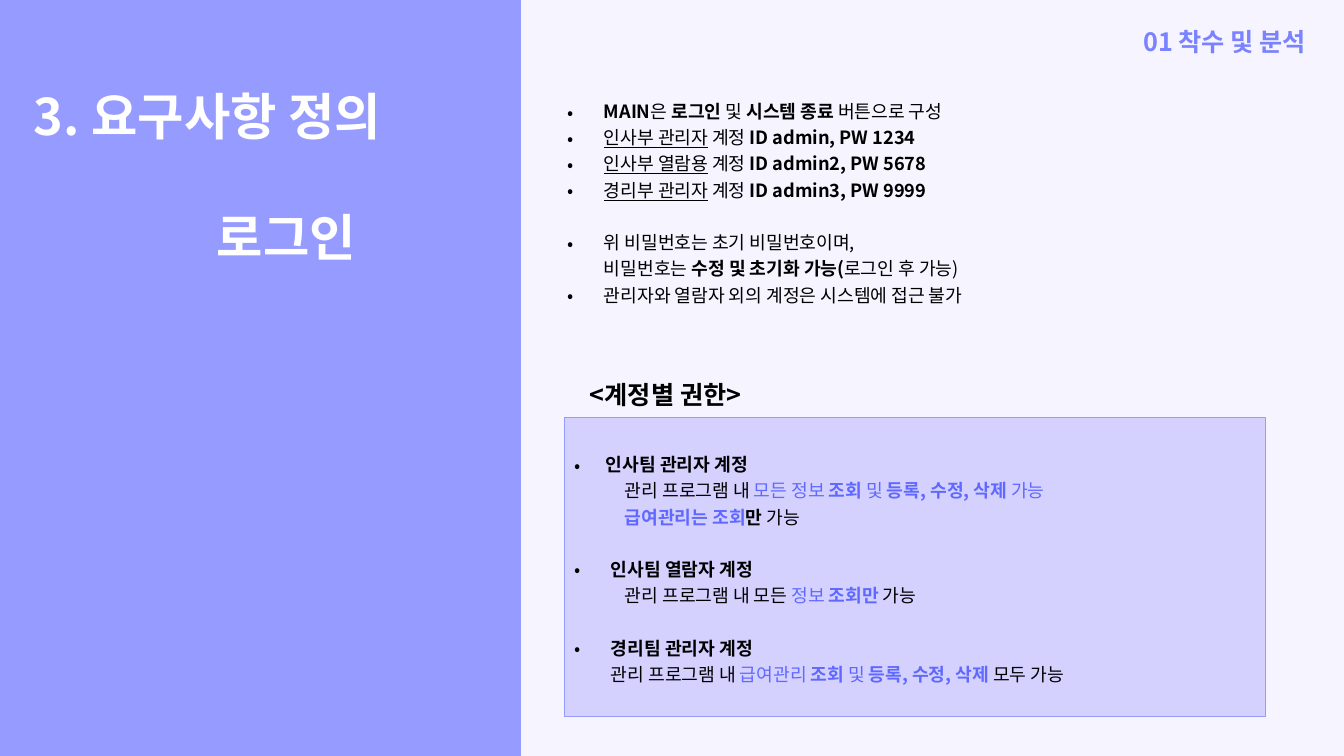
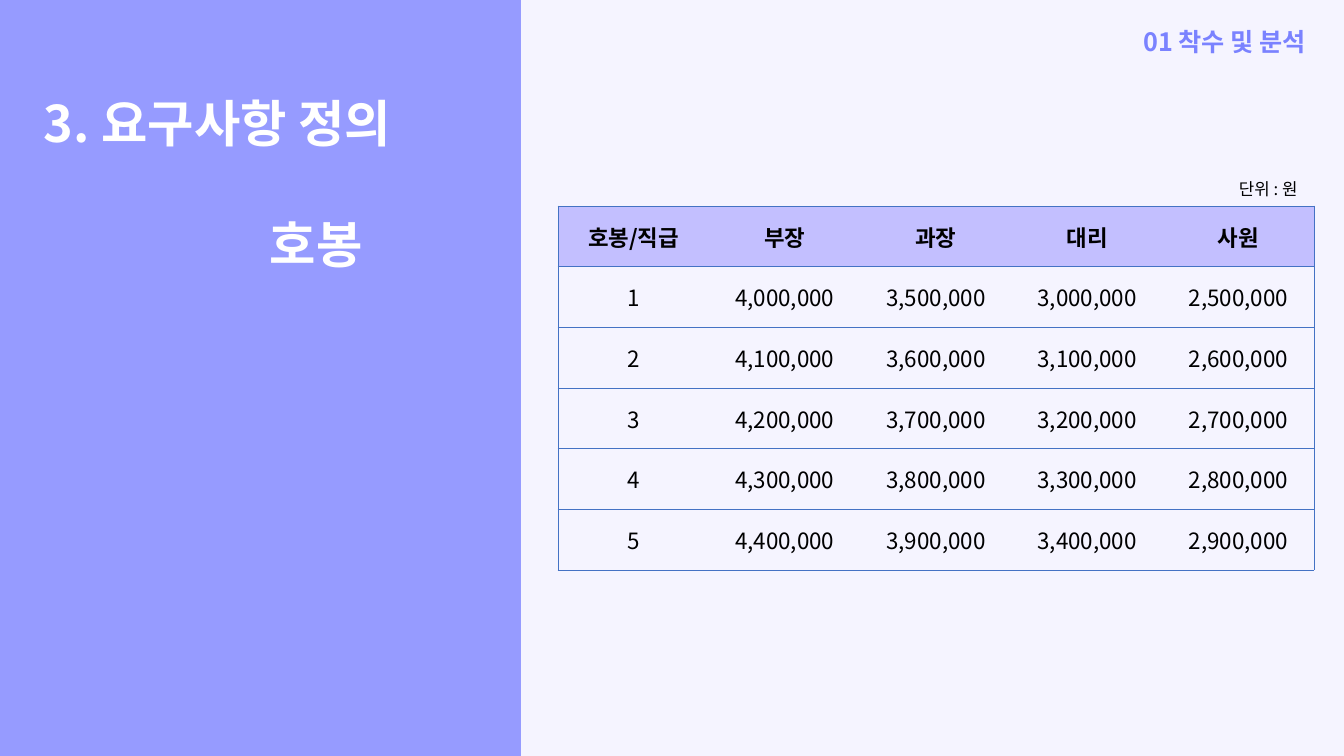
from dataclasses import dataclass

from lxml import etree
from pptx import Presentation
from pptx.dml.color import RGBColor
from pptx.enum import shapes, text
from pptx.oxml import ns
from pptx.util import Pt

SLIDE_W, SLIDE_H = 1344, 756
EMU_PER_PX = 12192000 / SLIDE_W
FONT = "Noto Sans CJK KR"
PAPER = RGBColor(0xF5, 0xF4, 0xFF)
PERIWINKLE = RGBColor(0x96, 0x9B, 0xFF)
SECTION = RGBColor(0x7A, 0x82, 0xFF)
PANEL = RGBColor(0xD4, 0xD1, 0xFF)
ACCENT = RGBColor(0x60, 0x69, 0xFF)
HEADER = RGBColor(0xC3, 0xBF, 0xFF)
BORDER = RGBColor(0x44, 0x72, 0xC4)
BLACK = RGBColor(0, 0, 0)
WHITE = RGBColor(0xFF, 0xFF, 0xFF)
BODY_SIZE = 13
BODY_GAP = 18.7
BODY_INDENT = 36


@dataclass
class Line:
    """A paragraph whose runs are (words, marks): b bold, u underlined, a accent."""
    runs: list
    indent: int = 0
    bullet: bool = False
    before: float = 0


LOGIN_RULES = [
    Line([("MAIN", "b"), ("은", ""), (" 로그인 ", "b"), ("및 ", ""),
          ("시스템 종료 ", "b"), ("버튼으로 구성", "")], BODY_INDENT, True),
    *(Line([(team, "u"), (" 계정 ", ""), (login, "b")], BODY_INDENT, True)
      for team, login in [("인사부 관리자", "ID admin, PW 1234"),
                          ("인사부 열람용", "ID admin2, PW 5678"),
                          ("경리부 관리자", "ID admin3, PW 9999")]),
    Line([("위 비밀번호는 초기 비밀번호이며,", "")], BODY_INDENT, True, BODY_GAP),
    Line([("비밀번호는 ", ""), ("수정 및 초기화 가능(", "b"),
          ("로그인 후 가능)", "")], BODY_INDENT),
    Line([("관리자와 열람자 외의 계정은 시스템에 접근 불가", "")], BODY_INDENT, True),
]
PERMISSIONS = [
    Line([("인사팀 관리자 계정", "b")], 31, True),
    Line([("관리 프로그램 내 ", ""), ("모든 정보 ", "a"), ("조회", "ab"), (" 및 ", "a"),
          ("등록, 수정, 삭제", "ab"), (" 가능", "a")], 50),
    Line([("급여관리는 조회", "ab"), ("만", "b"), (" 가능", "")], 50),
    Line([("인사팀 열람자 계정", "b")], BODY_INDENT, True, BODY_GAP),
    Line([("관리 프로그램 내 모든 ", ""), ("정보 ", "a"), ("조회만", "ab"),
          (" 가능", "")], 50),
    Line([("경리팀 관리자 계정", "b")], BODY_INDENT, True, BODY_GAP),
    Line([("관리 프로그램 내 ", ""), ("급여관리 ", "a"), ("조회", "ab"), (" 및 ", "a"),
          ("등록, 수정, 삭제 ", "ab"), ("모두 가능", "")], BODY_INDENT),
]
RANKS = {"부장": 4000000, "과장": 3500000, "대리": 3000000, "사원": 2500000}
STEPS = 5
STEP_RAISE = 100000


def px(length):
    """Turn px into EMU."""
    return round(length * EMU_PER_PX)


def box(*lengths):
    """Turn left, top, width and height into EMU."""
    return [px(length) for length in lengths]


def style(paragraph, size, color, bold=False):
    """Set the font of a whole paragraph, for Latin and Korean letters."""
    font = paragraph.font
    font.name, font.size, font.bold = FONT, Pt(size), bold
    font.color.rgb = color
    defaults = paragraph._p.pPr.find(ns.qn("a:defRPr"))
    latin = defaults.find(ns.qn("a:latin"))
    latin.addnext(latin.makeelement(ns.qn("a:ea"), {"typeface": FONT}))


def indent(paragraph, left, bullet=False):
    """Indent a paragraph, with a hanging bullet if wanted."""
    props = paragraph._p.get_or_add_pPr()
    props.set("marL", str(px(left)))
    props.set("indent", str(-px(left) if bullet else 0))
    if bullet:
        etree.SubElement(props, ns.qn("a:buFont"), typeface=FONT)
        etree.SubElement(props, ns.qn("a:buChar"), char="•")
    else:
        etree.SubElement(props, ns.qn("a:buNone"))


def write_lines(frame, lines, size, color, bold=False, spacing=None):
    """Fill a text frame with lines."""
    frame.word_wrap = True
    for number, line in enumerate(lines):
        paragraph = frame.add_paragraph() if number else frame.paragraphs[0]
        paragraph.alignment = text.PP_ALIGN.LEFT
        indent(paragraph, line.indent, line.bullet)
        if spacing:
            paragraph.line_spacing = spacing
        if line.before:
            paragraph.space_before = Pt(line.before)
        style(paragraph, size, color, bold)
        for words, marks in line.runs:
            run = paragraph.add_run()
            run.text = words
            if "b" in marks:
                run.font.bold = True
            if "u" in marks:
                run.font.underline = True
            if "a" in marks:
                run.font.color.rgb = ACCENT


def add_text(slide, place, lines, size, color, bold=False, spacing=None):
    """Add a text box and return its frame."""
    frame = slide.shapes.add_textbox(*box(*place)).text_frame
    write_lines(frame, lines, size, color, bold, spacing)
    return frame


def add_panel(slide, place, fill, outline=None):
    """Add a flat rectangle."""
    panel = slide.shapes.add_shape(shapes.MSO_SHAPE.RECTANGLE, *box(*place))
    panel.shadow.inherit = False
    panel.fill.solid()
    panel.fill.fore_color.rgb = fill
    if outline:
        panel.line.color.rgb = outline
        panel.line.width = Pt(0.75)
    else:
        panel.line.fill.background()
    return panel


def add_base(deck, title_left, title_top, topic, topic_indent):
    """Add a slide with its side band, title and section label."""
    slide = deck.slides.add_slide(deck.slide_layouts[6])
    slide.background.fill.solid()
    slide.background.fill.fore_color.rgb = PAPER
    add_panel(slide, (0, 0, 521, SLIDE_H), PERIWINKLE)
    title = [Line([("3. 요구사항 정의", "")]),
             Line([(topic, "")], topic_indent, before=43.2)]
    add_text(slide, (title_left, title_top, 625, 194), title, 36, WHITE, True)
    label = add_text(slide, (1014, 21, 302, 40),
                     [Line([("01 착수 및 분석", "")])], 18, SECTION, True)
    label.paragraphs[0].alignment = text.PP_ALIGN.RIGHT
    return slide


def set_borders(cell, sides):
    """Draw the given sides of a cell and clear the others."""
    props = cell._tc.get_or_add_tcPr()
    for side in "LRTB":
        edge = etree.SubElement(props, ns.qn(f"a:ln{side}"), w=str(Pt(0.5)))
        if side in sides:
            paint = etree.SubElement(edge, ns.qn("a:solidFill"))
            etree.SubElement(paint, ns.qn("a:srgbClr"), val=str(BORDER))
        else:
            etree.SubElement(edge, ns.qn("a:noFill"))


def add_pay_table(slide, place, rows):
    """Add the pay table with a tinted header and horizontal rules."""
    last = len(rows[0]) - 1
    table = slide.shapes.add_table(len(rows), last + 1, *box(*place)).table
    table.first_row = table.horz_banding = False
    for row_number, row in enumerate(rows):
        table.rows[row_number].height = px(place[3] / len(rows))
        for column, words in enumerate(row):
            cell = table.cell(row_number, column)
            cell.vertical_anchor = text.MSO_ANCHOR.MIDDLE
            cell.margin_top = cell.margin_bottom = px(11)
            sides = "TB" + "L" * (column == 0) + "R" * (column == last)
            set_borders(cell, sides)
            if row_number:
                cell.fill.background()
            else:
                cell.fill.solid()
                cell.fill.fore_color.rgb = HEADER
            paragraph = cell.text_frame.paragraphs[0]
            paragraph.text = words
            paragraph.alignment = text.PP_ALIGN.CENTER
            style(paragraph, 16, BLACK, row_number == 0)


def add_login_slide(deck):
    """Add the login requirements."""
    slide = add_base(deck, 24, 80, "로그인", 183)
    add_text(slide, (558, 91, 780, 220), LOGIN_RULES, BODY_SIZE, BLACK, spacing=1.2)
    add_text(slide, (580, 374, 218, 40), [Line([("<계정별 권한>", "")])],
             18, BLACK, True)
    permissions = add_panel(slide, (565, 418, 701, 299), PANEL, PERIWINKLE).text_frame
    permissions.vertical_anchor = text.MSO_ANCHOR.TOP
    permissions.margin_top = px(31)
    write_lines(permissions, PERMISSIONS, BODY_SIZE, BLACK, spacing=1.2)


def add_pay_slide(deck):
    """Add the pay by step and rank."""
    slide = add_base(deck, 34, 87, "호봉", 226)
    rows = [["호봉/직급", *RANKS]]
    for step in range(STEPS):
        pay = [f"{start + step * STEP_RAISE:,}" for start in RANKS.values()]
        rows.append([str(step + 1), *pay])
    add_pay_table(slide, (558, 206, 756, 364), rows)
    add_text(slide, (1229, 174, 95, 30), [Line([("단위 : 원", "")])], 12, BLACK)


def main():
    """Build and save the deck."""
    deck = Presentation()
    deck.slide_width, deck.slide_height = px(SLIDE_W), px(SLIDE_H)
    add_login_slide(deck)
    add_pay_slide(deck)
    deck.save("out.pptx")


if __name__ == "__main__":
    main()
